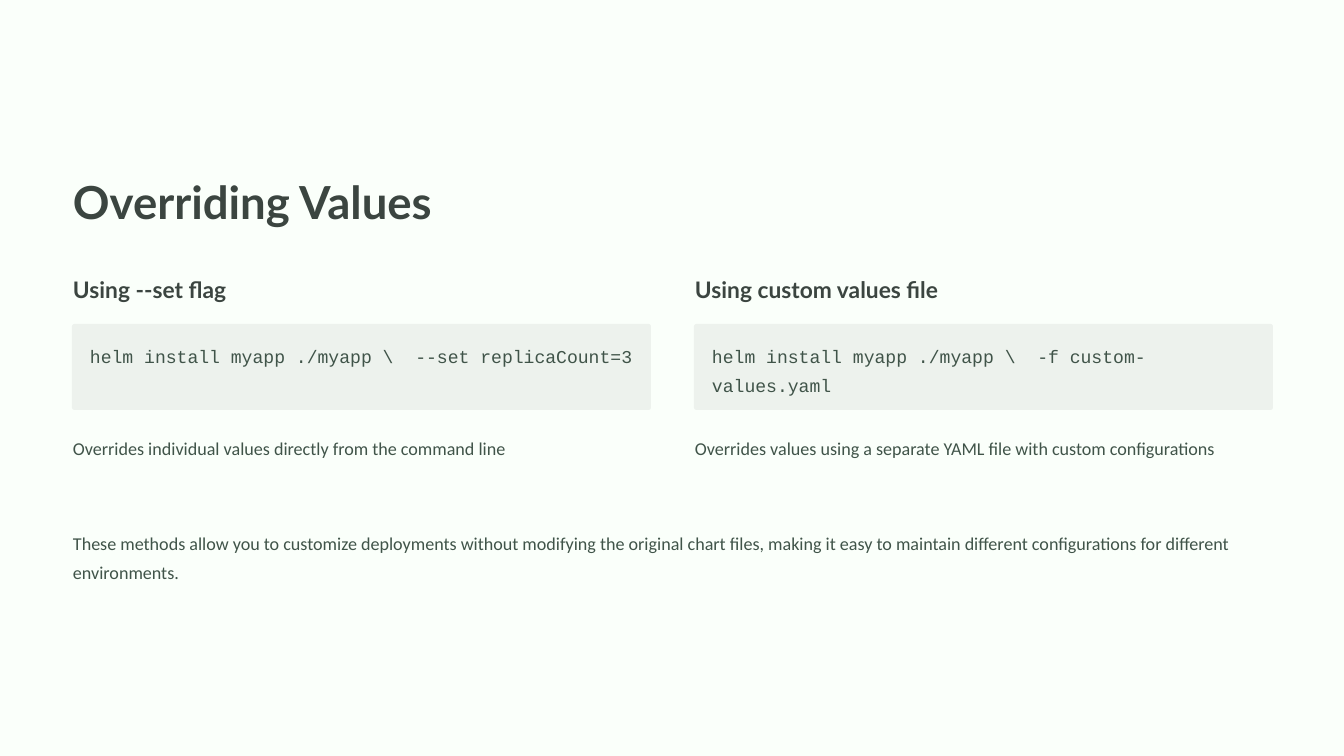
from pptx import Presentation
from pptx.dml.color import RGBColor
from pptx.enum.shapes import MSO_SHAPE
from pptx.util import Pt

ROUNDED = MSO_SHAPE.ROUNDED_RECTANGLE
SCALE = 914400 / 84
COLORS = {"page": "FAFFFA", "code": "EDF2ED", "heading": "3B4540", "body": "405449"}


def px(n):
    return round(n * SCALE)


def add_text(s, text, x, y, w, h, font, size, leading, color, bold=False, wrap=True):
    tf = s.shapes.add_textbox(px(x), px(y), px(w), px(h)).text_frame
    tf.margin_left = tf.margin_top = tf.margin_right = tf.margin_bottom = 0
    tf.word_wrap = wrap
    p = tf.paragraphs[0]
    p.line_spacing = Pt(leading)
    r = p.add_run()
    r.text = text
    r.font.name = font
    r.font.size = Pt(size)
    r.font.bold = bold
    r.font.color.rgb = RGBColor.from_string(COLORS[color])


prs = Presentation()
prs.slide_width = px(1344)
prs.slide_height = px(756)
s = prs.slides.add_slide(prs.slide_layouts[6])
s.background.fill.solid()
s.background.fill.fore_color.rgb = RGBColor.from_string(COLORS["page"])

add_text(s, "Overriding Values", 73, 172, 456, 57, "Lato", 39, 48.5, "heading", True, False)

methods = [
    ("Using --set flag",
     "helm install myapp ./myapp \\  --set replicaCount=3",
     "Overrides individual values directly from the command line"),
    ("Using custom values file",
     "helm install myapp ./myapp \\  -f custom-values.yaml",
     "Overrides values using a separate YAML file with custom configurations"),
]
for i, (heading, command, note) in enumerate(methods):
    x = 73 + 622 * i
    add_text(s, heading, x, 275, 278, 29, "Lato", 19.5, 24, "heading", True, False)
    panel = s.shapes.add_shape(ROUNDED, px(x - 1), px(324), px(579), px(86))
    panel.adjustments[0] = 0.03
    panel.shadow.inherit = False
    panel.fill.solid()
    panel.fill.fore_color.rgb = RGBColor.from_string(COLORS["code"])
    panel.line.fill.background()
    add_text(s, command, x + 17, 338, 546, 58, "Courier New", 15.5, 25, "body")
    add_text(s, note, x, 430, 577, 29, "Calibri", 15.5, 25, "body")

add_text(s, "These methods allow you to customize deployments without modifying the original "
         "chart files, making it easy to maintain different configurations for different "
         "environments.", 73, 525, 1198, 58, "Calibri", 15.5, 25, "body")

prs.save("out.pptx")
